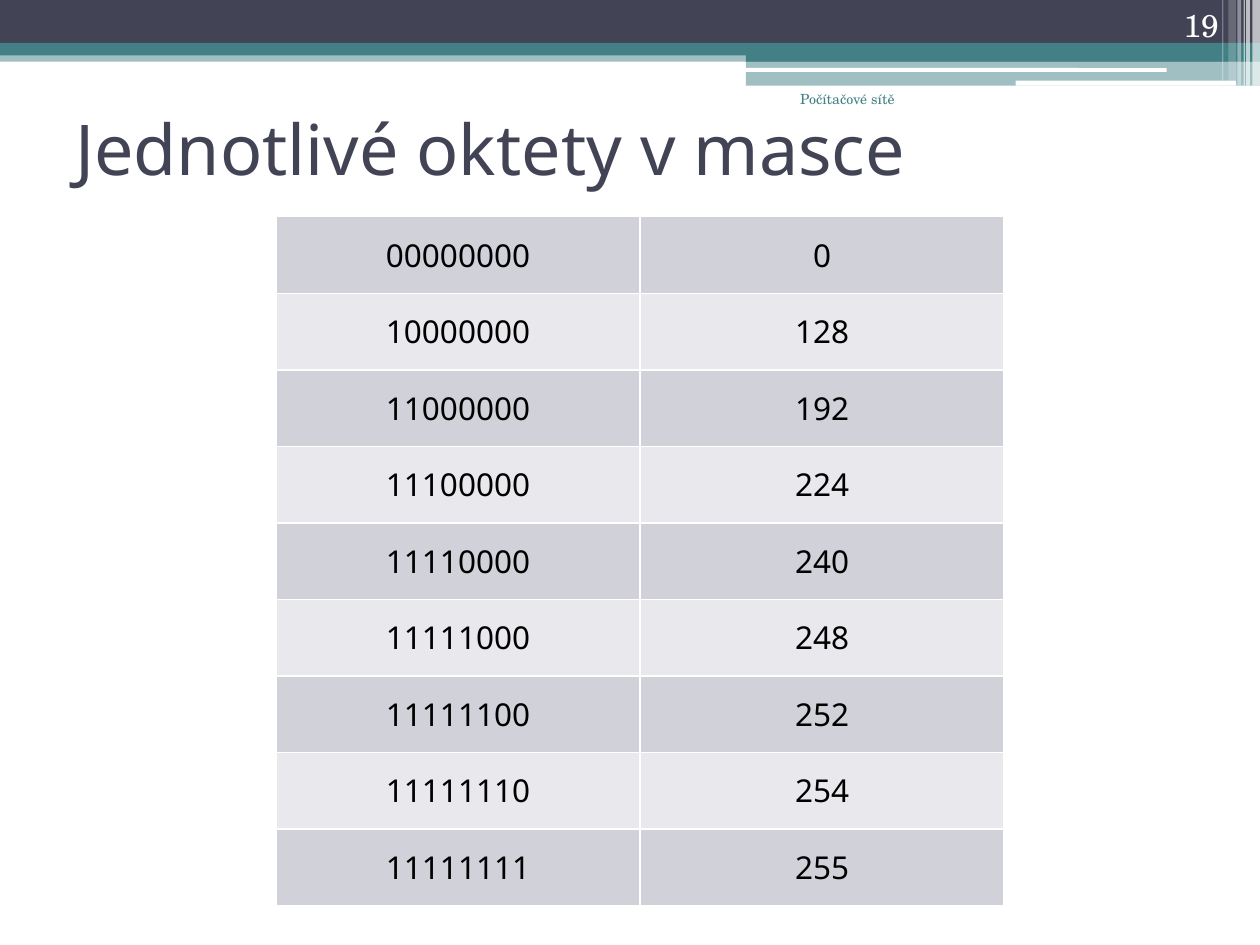
from lxml.etree import SubElement
from pptx import Presentation
from pptx.dml.color import RGBColor
from pptx.enum.shapes import MSO_SHAPE
from pptx.enum.text import MSO_ANCHOR, PP_ALIGN
from pptx.oxml.ns import qn
from pptx.util import Inches, Pt

COLORS = {"navy": "424456", "teal": "438086", "white": "FFFFFF",
          "black": "000000", "odd": "D1D1DA", "even": "E9E9ED"}
SANS, SERIF = "Noto Sans", "TeX Gyre Schola"


def rgb(name):
    return RGBColor.from_string(COLORS[name])


class SlideBuilder:
    """Holds the text styles and the current slide."""

    styles = {
        "title": {"name": SANS, "size": Pt(40), "color": "navy"},
        "cell": {"name": SANS, "size": Pt(18), "color": "black"},
        "footer": {"name": SERIF, "size": Pt(8), "color": "teal"},
        "number": {"name": SERIF, "size": Pt(18), "color": "white"},
    }

    def __init__(self, prs):
        self.s = prs.slides.add_slide(prs.slide_layouts[6])

    def bar(self, x, y, w, h, color, alpha=100, kind=MSO_SHAPE.RECTANGLE):
        sp = self.s.shapes.add_shape(kind, *map(Inches, (x, y, w, h)))
        sp.shadow.inherit = False
        sp.line.fill.background()
        sp.fill.solid()
        sp.fill.fore_color.rgb = rgb(color)
        if alpha < 100:
            clr = sp._element.spPr.find(".//" + qn("a:srgbClr"))
            SubElement(clr, qn("a:alpha"), val=str(alpha * 1000))

    def add_run(self, tf, text, style, align):
        p = tf.paragraphs[0]
        p.alignment = align
        r = p.add_run()
        r.text = text
        for key, value in self.styles[style].items():
            if key == "color":
                r.font.color.rgb = rgb(value)
            else:
                setattr(r.font, key, value)

    def text(self, x, y, w, h, text, style, align=PP_ALIGN.RIGHT, anchor=MSO_ANCHOR.TOP):
        tf = self.s.shapes.add_textbox(*map(Inches, (x, y, w, h))).text_frame
        tf.word_wrap = True
        tf.vertical_anchor = anchor
        self.add_run(tf, text, style, align)

    def border(self, cell):
        tc_pr = cell._tc.get_or_add_tcPr()
        for i, side in enumerate(("lnL", "lnR", "lnT", "lnB")):
            ln = tc_pr.makeelement(qn("a:" + side), {"w": str(int(Pt(1)))})
            fill = SubElement(ln, qn("a:solidFill"))
            SubElement(fill, qn("a:srgbClr"), val=COLORS["white"])
            tc_pr.insert(i, ln)

    def table(self, x, y, w, h, rows):
        frame = self.s.shapes.add_table(len(rows), len(rows[0]), *map(Inches, (x, y, w, h)))
        for i, row in enumerate(rows):
            for j, value in enumerate(row):
                cell = frame.table.cell(i, j)
                cell.vertical_anchor = MSO_ANCHOR.MIDDLE
                cell.fill.solid()
                cell.fill.fore_color.rgb = rgb("even" if i % 2 else "odd")
                self.border(cell)
                self.add_run(cell.text_frame, value, "cell", PP_ALIGN.CENTER)


def main():
    prs = Presentation()
    prs.slide_width, prs.slide_height = Inches(10), Inches(7.5)
    b = SlideBuilder(prs)

    # Header bands
    b.bar(0, 0.4, 10, 0.09, "teal", 50)
    b.bar(0, 0, 10, 0.34, "navy")
    b.bar(0, 0.34, 10, 0.1, "teal")
    b.bar(5.92, 0.39, 4.08, 0.1, "teal")
    b.bar(5.92, 0.48, 4.08, 0.2, "teal", 50)
    for x, y, w, h in ((5.91, 0.54, 3.35, 0.03), (8.06, 0.64, 1.75, 0.04)):
        b.bar(x, y, w, h, "white", kind=MSO_SHAPE.ROUNDED_RECTANGLE)

    # Translucent stripes at the right edge
    for x, w, h, alpha in ((9.94, 0.06, 0.68, 65), (9.89, 0.03, 0.68, 65),
                           (9.87, 0.01, 0.68, 60), (9.82, 0.03, 0.68, 40),
                           (9.75, 0.06, 0.64, 20), (9.7, 0.01, 0.64, 30)):
        b.bar(x, 0, w, h, "white", alpha)

    # Title
    b.text(0.5, 0.78, 9, 0.78, "Jednotlivé oktety v masce", "title",
           PP_ALIGN.LEFT, MSO_ANCHOR.MIDDLE)

    # Mask octets: n leading ones, in binary and decimal
    octets = [256 - 2 ** (8 - n) for n in range(9)]
    b.table(2.19, 1.72, 5.78, 5.47, [(f"{v:08b}", str(v)) for v in octets])

    # Footer and slide number
    b.text(5.75, 0.67, 1.45, 0.5, "Počítačové sítě", "footer")
    b.text(8.94, 0, 0.83, 0.4, "19", "number", anchor=MSO_ANCHOR.BOTTOM)

    prs.save("out.pptx")


if __name__ == "__main__":
    main()
